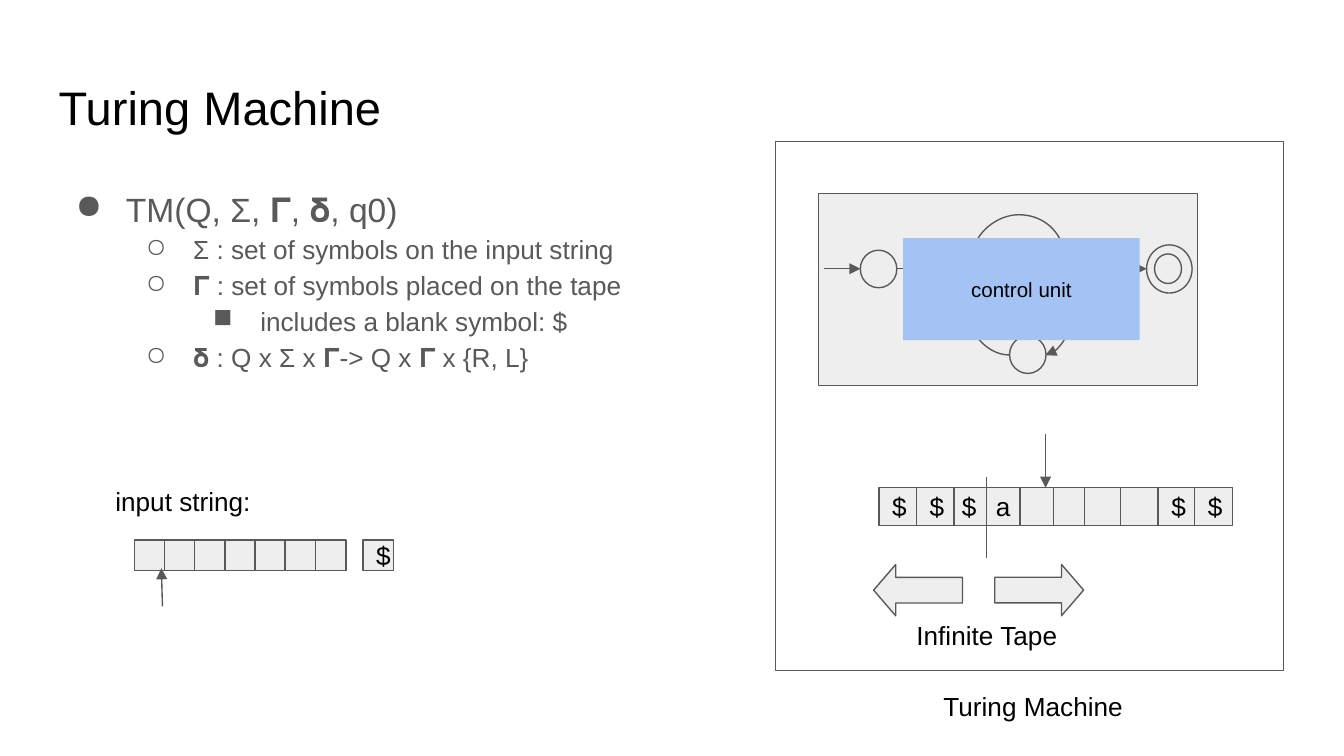
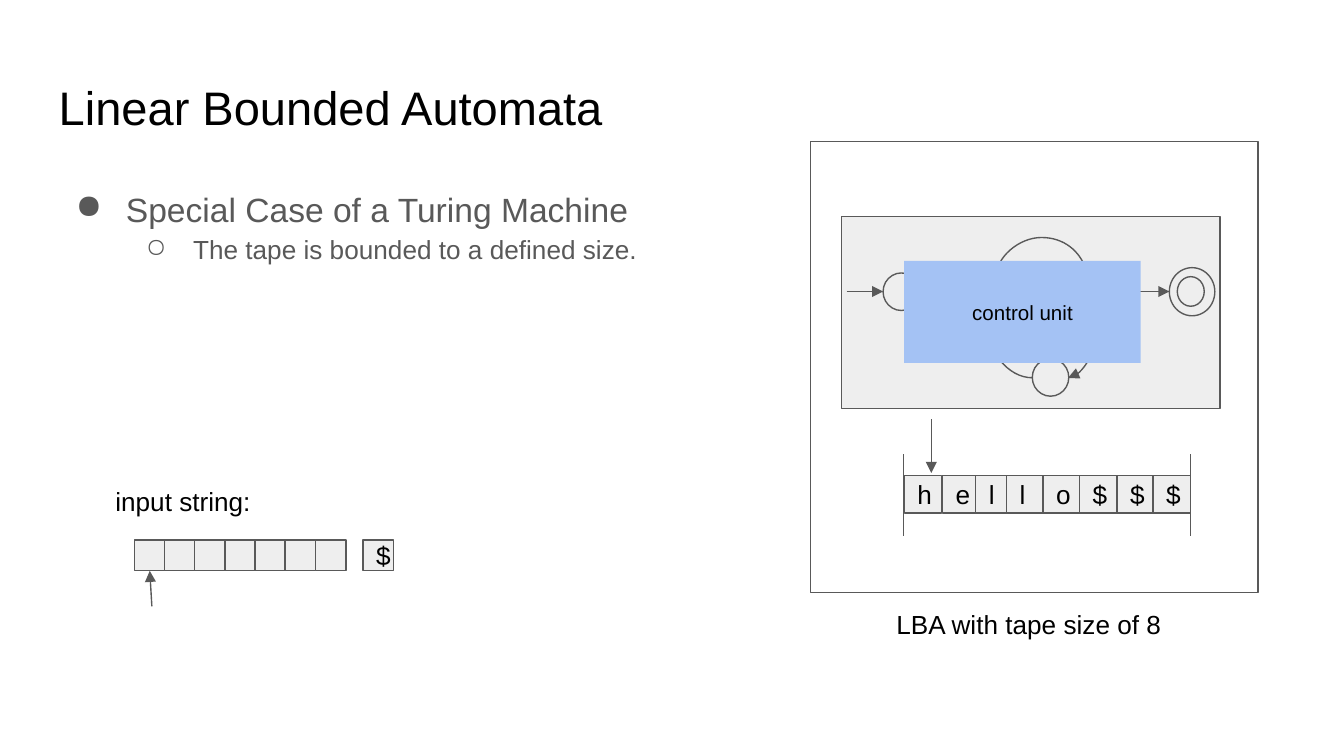
import dataclasses

import pptx
import pptx.dml.color
import pptx.enum.shapes
import pptx.enum.text
import pptx.oxml.ns
import pptx.util
from lxml import etree

Cm = pptx.util.Cm
Pt = pptx.util.Pt
RGB = pptx.dml.color.RGBColor
SHAPE = pptx.enum.shapes.MSO_SHAPE
CONNECTOR = pptx.enum.shapes.MSO_CONNECTOR
ALIGN = pptx.enum.text.PP_ALIGN
ANCHOR = pptx.enum.text.MSO_ANCHOR
AUTO_SIZE = pptx.enum.text.MSO_AUTO_SIZE
qn = pptx.oxml.ns.qn


@dataclasses.dataclass(frozen=True)
class Theme:
    font: str = "Arial"
    ink: RGB = RGB(0x00, 0x00, 0x00)
    muted: RGB = RGB(0x59, 0x59, 0x59)
    paper: RGB = RGB(0xFF, 0xFF, 0xFF)
    pale: RGB = RGB(0xEE, 0xEE, 0xEE)
    accent: RGB = RGB(0xA4, 0xC2, 0xF4)
    title_size: float = 25.2
    text_size: float = 14
    unit_size: float = 11
    level_sizes: tuple = (18, 14, 14)
    line_width: float = 0.75
    inset: float = 0.25


# Bullet and hanging indent in cm for each level
LEVELS = [("●", 0.95), ("○", 0.89), ("■", 0.89)]
INDENT_STEP = 1.27
TAPE_CELL = 0.71
INPUT_CELL, INPUT_PITCH, INPUT_LEFT, INPUT_TOP = 0.58, 0.57, 2.54, 10.21


class Board:
    """Draws on the current slide in the deck's style; lengths are in cm."""

    def __init__(self, deck, theme):
        self.deck = deck
        self.theme = theme

    def new_slide(self, heading):
        slide = self.deck.slides.add_slide(self.deck.slide_layouts[5])
        self.slide_shapes = self.shapes = slide.shapes
        title = slide.shapes.title
        title.left, title.top, title.width, title.height = map(Cm, (0.86, 1.24, 23.67, 1.6))
        self.set_text(title.text_frame, heading, self.theme.title_size)

    def set_text(self, frame, text, size, color=None, align=ALIGN.LEFT, anchor=ANCHOR.TOP):
        frame.text = text
        frame.word_wrap = True
        frame.auto_size = AUTO_SIZE.NONE
        frame.vertical_anchor = anchor
        frame.margin_left = frame.margin_right = Cm(self.theme.inset)
        frame.margin_top = frame.margin_bottom = Cm(self.theme.inset)
        for paragraph in frame.paragraphs:
            paragraph.alignment = align
            for run in paragraph.runs:
                run.font.name = self.theme.font
                run.font.size = Pt(size)
                run.font.color.rgb = color or self.theme.ink

    def label(self, text, left, top, width):
        box = self.shapes.add_textbox(Cm(left), Cm(top), Cm(width), Cm(1.12))
        self.set_text(box.text_frame, text, self.theme.text_size)

    def bullets(self, items):
        """Set (level, text) pairs as a bulleted outline."""
        box = self.shapes.add_textbox(Cm(0.86), Cm(3.2), Cm(23.67), Cm(9.5))
        self.set_text(box.text_frame, "\n".join(text for _, text in items),
                      self.theme.text_size, self.theme.muted)
        for paragraph, (level, _) in zip(box.text_frame.paragraphs, items):
            mark, hanging = LEVELS[level]
            paragraph.level = level
            paragraph.line_spacing = 1.15
            paragraph.runs[0].font.size = Pt(self.theme.level_sizes[level])
            properties = paragraph._p.get_or_add_pPr()
            properties.set("marL", str(Cm(INDENT_STEP * (level + 1))))
            properties.set("indent", str(-Cm(hanging)))
            bullet_color = etree.SubElement(properties, qn("a:buClr"))
            etree.SubElement(bullet_color, qn("a:srgbClr"), val=str(self.theme.muted))
            etree.SubElement(properties, qn("a:buChar"), char=mark)

    def shape(self, left, top, width, height, kind=SHAPE.RECTANGLE, fill=None, outlined=True):
        drawn = self.shapes.add_shape(kind, Cm(left), Cm(top), Cm(width), Cm(height))
        drawn.shadow.inherit = False
        drawn.fill.solid()
        drawn.fill.fore_color.rgb = fill or self.theme.pale
        if outlined:
            drawn.line.color.rgb = self.theme.muted
            drawn.line.width = Pt(self.theme.line_width)
        else:
            drawn.line.fill.background()
        return drawn

    def cell(self, left, top, size, symbol=""):
        square = self.shape(left, top, size, size)
        if symbol:
            self.set_text(square.text_frame, symbol, self.theme.text_size, anchor=ANCHOR.MIDDLE)
        return square

    def line(self, start, end, arrow=False, kind=CONNECTOR.STRAIGHT):
        link = self.shapes.add_connector(kind, *map(Cm, (*start, *end)))
        link.line.color.rgb = self.theme.muted
        link.line.width = Pt(self.theme.line_width)
        properties = link._element.spPr
        if arrow:
            etree.SubElement(properties.find(qn("a:ln")), qn("a:tailEnd"), type="triangle")
        etree.SubElement(properties, qn("a:effectLst"))
        return link

    def curve(self, left, top, width, height, rotation, bend=None):
        """Draw a curved arrow: a quarter turn, or a mirrored loop if bend is given."""
        link = self.line((left, top), (left + width, top + height), True, CONNECTOR.CURVE)
        frame = link._element.spPr.find(qn("a:xfrm"))
        frame.set("rot", str(rotation * 60000))
        geometry = link._element.spPr.find(qn("a:prstGeom"))
        if bend is None:
            geometry.set("prst", "curvedConnector2")
        else:
            frame.set("flipH", "1")
            guides = geometry.find(qn("a:avLst"))
            etree.SubElement(guides, qn("a:gd"), name="adj1", fmla=f"val {round(bend * 100000)}")

    def automaton(self, x, y, start_link):
        """Draw the grouped state diagram with its top left corner at x, y."""
        self.shapes = self.slide_shapes.add_group_shape().shapes
        self.shape(x, y, 7.16, 3.63)
        states = [(6.2, 0.97, 0.86, 0.91), (6.35, 1.14, 0.51, 0.56),
                  (0.79, 1.07, 0.69, 0.71), (3.61, 2.69, 0.69, 0.71)]
        for dx, dy, width, height in states:
            self.shape(x + dx, y + dy, width, height, SHAPE.OVAL)
        transitions = [(0.1, 0.79), (5.21, 6.2)] + ([(1.48, 2.34)] if start_link else [])
        for begin, end in transitions:
            self.line((x + begin, y + 1.42), (x + end, y + 1.42), arrow=True)
        self.curve(x + 3.78, y + 0.3, 0.01, 1.73, 270, bend=-76)
        self.curve(x + 3.94, y + 2.13, 1.27, 0.58, 90)
        self.curve(x + 2.67, y + 1.78, 0.94, 1.27, 180)
        self.shapes = self.slide_shapes

    def control_unit(self, left, top):
        unit = self.shape(left, top, 4.47, 1.93, fill=self.theme.accent, outlined=False)
        self.set_text(unit.text_frame, "control unit", self.theme.unit_size,
                      align=ALIGN.CENTER, anchor=ANCHOR.MIDDLE)

    def tape(self, top, cells):
        for left, symbol in cells:
            self.cell(left, top, TAPE_CELL, symbol)

    def input_string(self):
        """Draw the labelled input and return its first cell."""
        self.label("input string:", 1.93, 8.92, 6.2)
        cells = [self.cell(INPUT_LEFT + i * INPUT_PITCH, INPUT_TOP, INPUT_CELL)
                 for i in range(7)]
        self.cell(6.86, INPUT_TOP, INPUT_CELL, "$")
        return cells[0]


def turing_machine(board):
    board.new_slide("Turing Machine")
    board.bullets([
        (0, "TM(Q, Σ, 𝚪, 𝛅, q0)"),
        (1, "Σ : set of symbols on the input string"),
        (1, "𝚪 : set of symbols placed on the tape"),
        (2, "includes a blank symbol: $"),
        (1, "𝛅 : Q x Σ x 𝚪-> Q x 𝚪 x {R, L}"),
    ])
    board.shape(14.66, 2.67, 9.6, 10.01, fill=board.theme.paper)
    board.automaton(15.47, 3.66, start_link=True)
    for left, rotation in [(18.8, 0), (16.51, 180)]:
        direction = board.shape(left, 10.67, 1.68, 0.97, SHAPE.RIGHT_ARROW)
        direction.adjustments[0] = 0.5
        direction.adjustments[1] = 0.43
        direction.rotation = rotation
    # Cells overlap, so the order sets which edges show
    board.tape(9.22, [(16.61, "$"), (18.57, "a"), (19.28, ""), (19.91, ""), (20.5, ""),
                      (21.18, ""), (17.93, "$"), (21.89, "$"), (22.58, "$"), (17.32, "$")])
    board.label("Infinite Tape", 17.07, 11.46, 5.33)
    board.line((18.64, 10.54), (18.64, 9.02))
    board.line((19.76, 8.2), (19.76, 9.22), arrow=True)
    board.label("Turing Machine", 17.58, 12.8, 4.19)
    board.input_string()
    board.line((3.07, 11.46), (3.05, 10.74), arrow=True)
    board.control_unit(17.07, 4.5)


def linear_bounded_automata(board):
    board.new_slide("Linear Bounded Automata")
    board.shape(15.32, 2.67, 8.46, 8.53, fill=board.theme.paper)
    board.bullets([
        (0, "Special Case of a Turing Machine"),
        (1, "The tape is bounded to a defined size."),
    ])
    board.automaton(15.9, 4.09, start_link=False)
    lefts = [17.09, 17.81, 18.44, 19.02, 19.71, 20.4, 21.11, 21.79]
    board.tape(8.99, zip(lefts, "hello$$$"))
    for bound in (17.07, 22.5):
        board.line((bound, 10.13), (bound, 8.59))
    board.line((17.6, 7.92), (17.6, 8.94), arrow=True)
    board.label("LBA with tape size of 8", 16.69, 11.25, 6.83)
    first_cell = board.input_string()
    reader = board.line((2.87, 11.46), (2.84, 10.74), arrow=True)
    reader.end_connect(first_cell, 2)
    board.control_unit(17.09, 4.93)


def main():
    deck = pptx.Presentation()
    deck.slide_width, deck.slide_height = Cm(25.4), Cm(14.29)
    board = Board(deck, Theme())
    turing_machine(board)
    linear_bounded_automata(board)
    deck.save("out.pptx")


if __name__ == "__main__":
    main()
